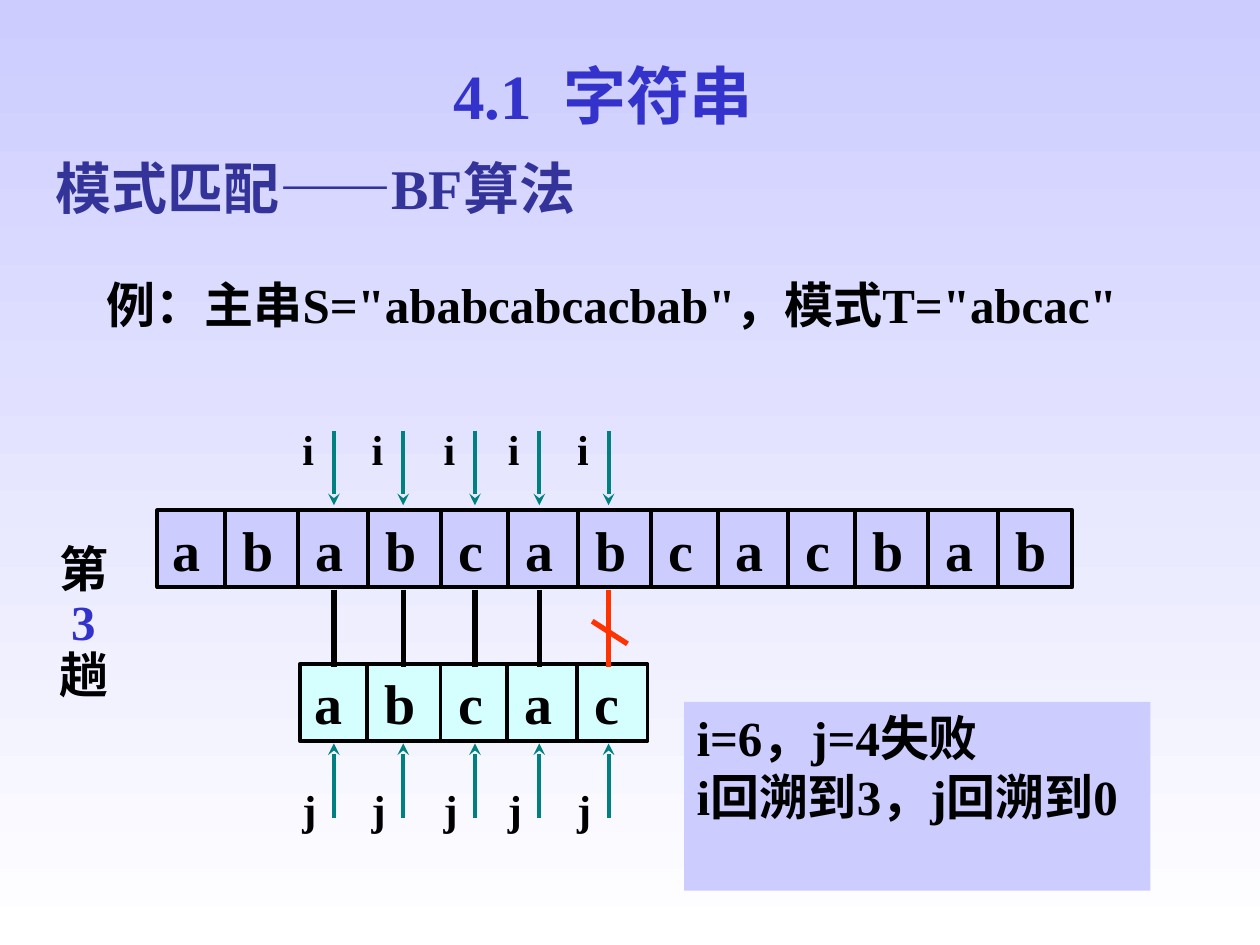
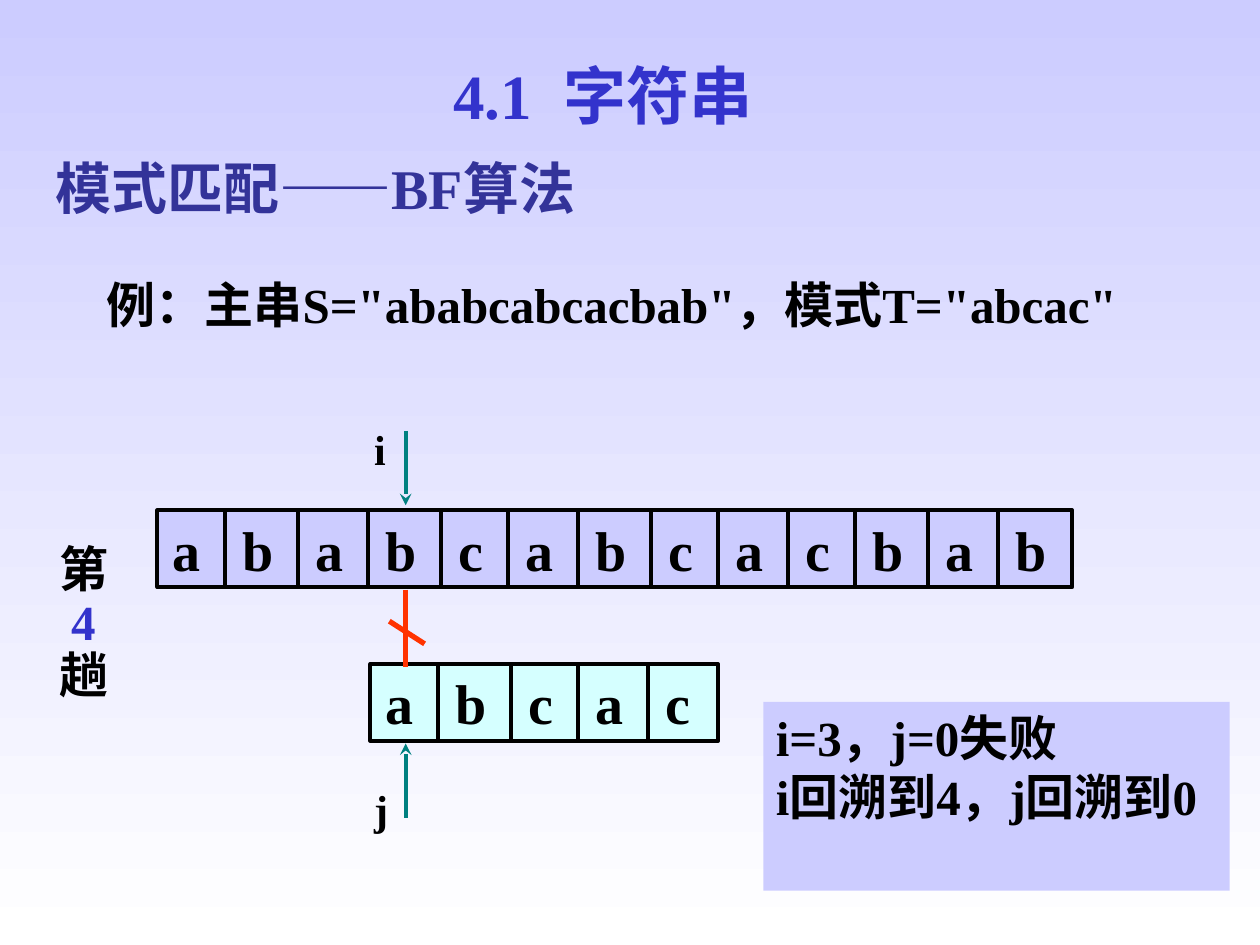
from itertools import accumulate

from lxml import etree
from pptx import Presentation
from pptx.dml.color import RGBColor
from pptx.enum.shapes import MSO_CONNECTOR, MSO_SHAPE
from pptx.enum.text import MSO_ANCHOR, MSO_AUTO_SIZE, PP_ALIGN
from pptx.oxml.ns import qn
from pptx.util import Inches, Pt

BLACK = RGBColor(0x00, 0x00, 0x00)
WHITE = RGBColor(0xFF, 0xFF, 0xFF)
LAVENDER = RGBColor(0xCC, 0xCC, 0xFF)
MINT = RGBColor(0xD5, 0xFF, 0xFF)
BLUE = RGBColor(0x33, 0x33, 0xCC)
NAVY = RGBColor(0x33, 0x33, 0x99)
TEAL = RGBColor(0x00, 0x80, 0x80)
RED = RGBColor(0xFF, 0x33, 0x00)

FONT = "Times New Roman"
MAIN, PATTERN = "ababcabcacbab", "abcac"
# Room each letter takes with its gap, in points at 32 pt bold
ADVANCE = {"a": 40, "b": 41.8, "c": 38.2}
CELL_INSET, DIVIDER_GAP = 0.12, 0.14
MAIN_TOP, PATTERN_TOP, CELL_HEIGHT = 4.05, 5.27, 0.61


class Deck:
    def __init__(self):
        self.prs = Presentation()
        self.prs.slide_width, self.prs.slide_height = Inches(10), Inches(7.5)
        fill = self.prs.slide_master.background.fill
        fill.gradient()
        fill.gradient_angle = 270
        for stop, color, position in zip(fill.gradient_stops, (LAVENDER, WHITE), (0, 1)):
            stop.color.rgb, stop.position = color, position

    def new_slide(self):
        self.slide = self.prs.slides.add_slide(self.prs.slide_layouts[6])

    def style(self, p, size, color=BLACK, align=PP_ALIGN.LEFT):
        p.alignment = align
        p.font.name, p.font.size, p.font.bold = FONT, Pt(size), True
        p.font.color.rgb = color

    def text(self, box, lines, size, colors=(BLACK,), align=PP_ALIGN.LEFT,
             before=0, spacing=None, inset=0.1, fill=None):
        sp = self.slide.shapes.add_textbox(*map(Inches, box))
        if fill:
            sp.fill.solid()
            sp.fill.fore_color.rgb = fill
        tf = sp.text_frame
        tf.word_wrap, tf.auto_size = True, MSO_AUTO_SIZE.SHAPE_TO_FIT_TEXT
        tf.margin_left = tf.margin_right = Inches(inset)
        tf.text = "\n".join(lines)
        for i, p in enumerate(tf.paragraphs):
            self.style(p, size, colors[i % len(colors)], align)
            p.space_before = Pt(before)
            if spacing:
                p.line_spacing = spacing
        return tf

    def title(self, text):
        tf = self.text((2.93, 0.4, 3.71, 0.7), [text], 36, [BLUE], PP_ALIGN.CENTER, 22.5)
        rPr = tf.paragraphs[0].runs[0].font._element
        effects = etree.SubElement(rPr, qn("a:effectLst"))
        shadow = etree.SubElement(effects, qn("a:outerShdw"), dist="35921", dir="2700000")
        etree.SubElement(shadow, qn("a:srgbClr"), val="808080")

    def line(self, x1, y1, x2, y2, color=BLACK, width=2.25, arrow=False):
        c = self.slide.shapes.add_connector(
            MSO_CONNECTOR.STRAIGHT, *map(Inches, (x1, y1, x2, y2)))
        c.line.color.rgb, c.line.width = color, Pt(width)
        if arrow:
            etree.SubElement(c.line._get_or_add_ln(), qn("a:tailEnd"), type="stealth")
        etree.SubElement(c._element.spPr, qn("a:effectLst"))

    def string_cells(self, letters, left, top, width, fill):
        """A row of cells; tab stops and dividers follow the letter widths."""
        sp = self.slide.shapes.add_shape(
            MSO_SHAPE.RECTANGLE, *map(Inches, (left, top, width, CELL_HEIGHT)))
        sp.shadow.inherit = False
        sp.fill.solid()
        sp.fill.fore_color.rgb = fill
        sp.line.color.rgb, sp.line.width = BLACK, Pt(2.25)
        tf = sp.text_frame
        tf.vertical_anchor = MSO_ANCHOR.MIDDLE
        tf.margin_left, tf.margin_right = Inches(CELL_INSET), Inches(0.02)
        tf.margin_top = tf.margin_bottom = 0
        p = tf.paragraphs[0]
        p.text = "\t".join(letters)
        tabs = etree.SubElement(p._p.get_or_add_pPr(), qn("a:tabLst"))
        for offset in accumulate(ADVANCE[ch] for ch in letters[:-1]):
            etree.SubElement(tabs, qn("a:tab"), pos=str(Pt(offset)), algn="l")
            x = left + CELL_INSET + offset / 72 - DIVIDER_GAP
            self.line(x, top, x, top + CELL_HEIGHT)
        self.style(p, 32)

    def comparison(self, x, matches):
        """Index arrows i and j with the link between two compared letters."""
        self.line(x, 4.68, x, 5.29, BLACK if matches else RED, 3)
        if not matches:
            self.line(x - 0.13, 4.93, x + 0.15, 5.11, RED, 3)
        for name, start, end, label_top in (("i", 3.42, 4.01, 3.31), ("j", 6.49, 5.9, 6.17)):
            self.line(x, start, x, end, TEAL, arrow=True)
            self.text((x - 0.25, label_top, 0.25, 0.5), [name], 24, before=15, inset=0)

    def matching_pass(self, number, pattern_left, compared, note_left, note):
        self.new_slide()
        # Headings and example
        self.title("4.1  字符串")
        self.text((0.34, 1.17, 8.17, 0.64), ["模式匹配——BF算法"], 32, [NAVY], before=20)
        self.text((0.75, 2.13, 8.92, 0.57), [f'例：主串S="{MAIN}"，模式T="{PATTERN}"'],
                  28, align=PP_ALIGN.JUSTIFY, before=17.5)
        self.text((0.37, 4.28, 0.71, 1.36), ["第", f" {number}", "趟"], 28,
                  [BLACK, BLUE, BLACK], spacing=0.9)
        # Main string and pattern
        self.string_cells(MAIN, 1.25, MAIN_TOP, 7.26, LAVENDER)
        self.string_cells(PATTERN, pattern_left, PATTERN_TOP, 2.76, MINT)
        # Comparisons, of which the last one fails
        for x in compared:
            self.comparison(x, x != compared[-1])
        self.text((note_left, 5.57, 3.7, 1.5), note, 28, fill=LAVENDER)


def main():
    deck = Deck()
    deck.matching_pass(3, 2.38, [2.65, 3.2, 3.77, 4.28, 4.83], 5.43,
                       ["i=6，j=4失败", "i回溯到3，j回溯到0"])
    deck.matching_pass(4, 2.94, [3.22], 6.06,
                       ["i=3，j=0失败", "i回溯到4，j回溯到0"])
    deck.prs.save("out.pptx")


if __name__ == "__main__":
    main()
